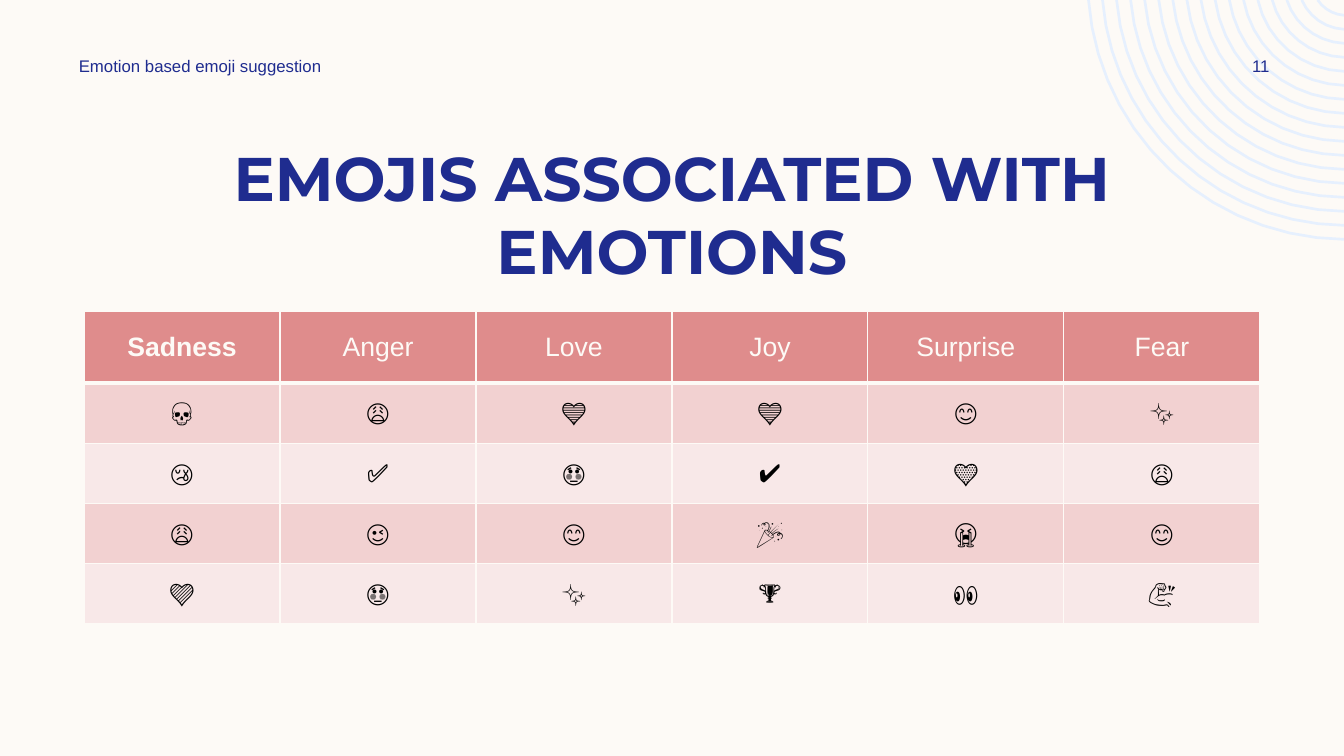
import math

import lxml.etree
import pptx
import pptx.dml.color
import pptx.enum.text
import pptx.oxml.ns
import pptx.util

COLUMNS, ROWS = 16, 9
UNIT = pptx.util.Inches(13.333) / COLUMNS  # a grid column is as wide as a row is high
NAVY, CREAM, PALE_BLUE, BLACK = "1F2C8F", "FDFAF6", "E6F0FE", "000000"
HEADER_FILL, BAND_FILLS = "DF8C8C", ("F2D1D1", "F8E8E8")
CENTER = pptx.enum.text.PP_ALIGN.CENTER
MIDDLE = pptx.enum.text.MSO_ANCHOR.MIDDLE
TOP = pptx.enum.text.MSO_ANCHOR.TOP

EMOTIONS = ["Sadness", "Anger", "Love", "Joy", "Surprise", "Fear"]
EMOJIS = [
    ["💀", "😩", "💙", "💙", "😊", "✨"],
    ["😢", "✅", "😳", "✔", "💛", "😩"],
    ["😩", "😉", "😊", "🎉", "😭", "😊"],
    ["💜", "😳", "✨", "🏆", "👀", "💪"],
]
LARGER_EMOJIS = {"🎉", "👀"}


def color(value):
    """Turn a hex string into a colour."""
    return pptx.dml.color.RGBColor.from_string(value)


def grid(*cells):
    """Turn grid columns or rows into lengths."""
    return [pptx.util.Emu(round(cell * UNIT)) for cell in cells]


def set_attributes(target, values):
    """Set each attribute named in the dict."""
    for name, value in values.items():
        setattr(target, name, value)


def write(text_frame, text, size, hex_color, font="Arial", bold=False, alignment=CENTER):
    """Put one formatted paragraph into a text frame."""
    paragraph = text_frame.paragraphs[0]
    paragraph.alignment = alignment
    run = paragraph.add_run()
    run.text = text
    set_attributes(run.font, {"size": pptx.util.Pt(size), "name": font, "bold": bold})
    run.font.color.rgb = color(hex_color)


def draw_rings(slide, box):
    """Fill the box with quarter rings around its top right corner."""
    left, top, width, height = box
    right = left + width
    center_x, center_y = right + 0.03, top - 0.23
    pitch, count = 1 / 6, 17
    largest = top + height - center_y

    def arc(radius):
        """List the points of an arc from the top edge to the right edge."""
        steps = round(8 * math.sqrt(radius))
        start = math.asin((top - center_y) / radius)
        end = math.acos((center_x - right) / radius)
        angles = [start + (end - start) * step / steps for step in range(steps + 1)]
        return [((center_x - radius * math.cos(angle)) * UNIT,
                 (center_y + radius * math.sin(angle)) * UNIT) for angle in angles]

    arcs = [arc(largest - ring * pitch) for ring in range(count)]
    builder = slide.shapes.build_freeform(*arcs[0][0])
    for first, *others in arcs:
        builder.move_to(*first)
        builder.add_line_segments(others, close=False)
    rings = builder.convert_to_shape()
    rings.shadow.inherit = False
    rings.fill.background()
    rings.line.color.rgb = color(PALE_BLUE)
    rings.line.width = pptx.util.Pt(1.9)


def place_title(slide, box, text):
    """Move the title placeholder into the box and format it."""
    title = slide.shapes.title
    set_attributes(title, dict(zip(("left", "top", "width", "height"), grid(*box))))
    set_attributes(title.text_frame, {
        "word_wrap": True, "vertical_anchor": TOP,
        "auto_size": pptx.enum.text.MSO_AUTO_SIZE.NONE})
    write(title.text_frame, text, 44, NAVY, "Montserrat", True)


def add_label(slide, box, text, alignment):
    """Add a small line of text in the page's header."""
    text_frame = slide.shapes.add_textbox(*grid(*box)).text_frame
    set_attributes(text_frame, {"word_wrap": True, "vertical_anchor": MIDDLE})
    write(text_frame, text, 12, NAVY, alignment=alignment)


def set_borders(cell, widths):
    """Draw the cell's borders; widths maps each side to points."""
    properties = cell._tc.get_or_add_tcPr()
    for side, width in widths.items():
        line = lxml.etree.SubElement(properties, pptx.oxml.ns.qn(f"a:ln{side}"),
                                     w=str(pptx.util.Pt(width)))
        fill = lxml.etree.SubElement(line, pptx.oxml.ns.qn("a:solidFill"))
        lxml.etree.SubElement(fill, pptx.oxml.ns.qn("a:srgbClr"), val=CREAM)


def add_emoji_table(slide, box, header_height):
    """Fill the box with a header row of emotions and rows of emojis."""
    rows = [EMOTIONS] + EMOJIS
    table = slide.shapes.add_table(len(rows), len(EMOTIONS), *grid(*box)).table
    set_attributes(table, {"first_row": False, "horz_banding": False})
    row_height = (box[3] - header_height) / len(EMOJIS)
    for column in table.columns:
        column.width, = grid(box[2] / len(EMOTIONS))
    for row_index, texts in enumerate(rows):
        is_header = row_index == 0
        table.rows[row_index].height, = grid(header_height if is_header else row_height)
        fill = HEADER_FILL if is_header else BAND_FILLS[(row_index - 1) % 2]
        borders = {"L": 1, "R": 1, "T": 3 if row_index == 1 else 1, "B": 3 if is_header else 1}
        for column_index, text in enumerate(texts):
            cell = table.cell(row_index, column_index)
            cell.vertical_anchor = MIDDLE
            set_borders(cell, borders)
            cell.fill.solid()
            cell.fill.fore_color.rgb = color(fill)
            if is_header:
                write(cell.text_frame, text, 19, CREAM, bold=column_index == 0)
            else:
                write(cell.text_frame, text, 20 if text in LARGER_EMOJIS else 18, BLACK)


def build_emoji_slide(presentation):
    """Build the slide that lists emojis for each emotion."""
    slide = presentation.slides.add_slide(presentation.slide_layouts[5])
    slide.background.fill.solid()
    slide.background.fill.fore_color.rgb = color(CREAM)
    draw_rings(slide, (12.97, 0, 3.03, 2.85))
    place_title(slide, (1, 1.6, 14, 1), "EMOJIS ASSOCIATED WITH EMOTIONS")
    add_emoji_table(slide, (1, 3.71, 14, 3.72), 0.85)
    add_label(slide, (0.82, 0.6, 4.2, 0.36), "Emotion based emoji suggestion",
              pptx.enum.text.PP_ALIGN.LEFT)
    add_label(slide, (14.36, 0.6, 1.3, 0.36), "11", CENTER)


presentation = pptx.Presentation()
presentation.slide_width, presentation.slide_height = grid(COLUMNS, ROWS)
build_emoji_slide(presentation)
presentation.save("out.pptx")
